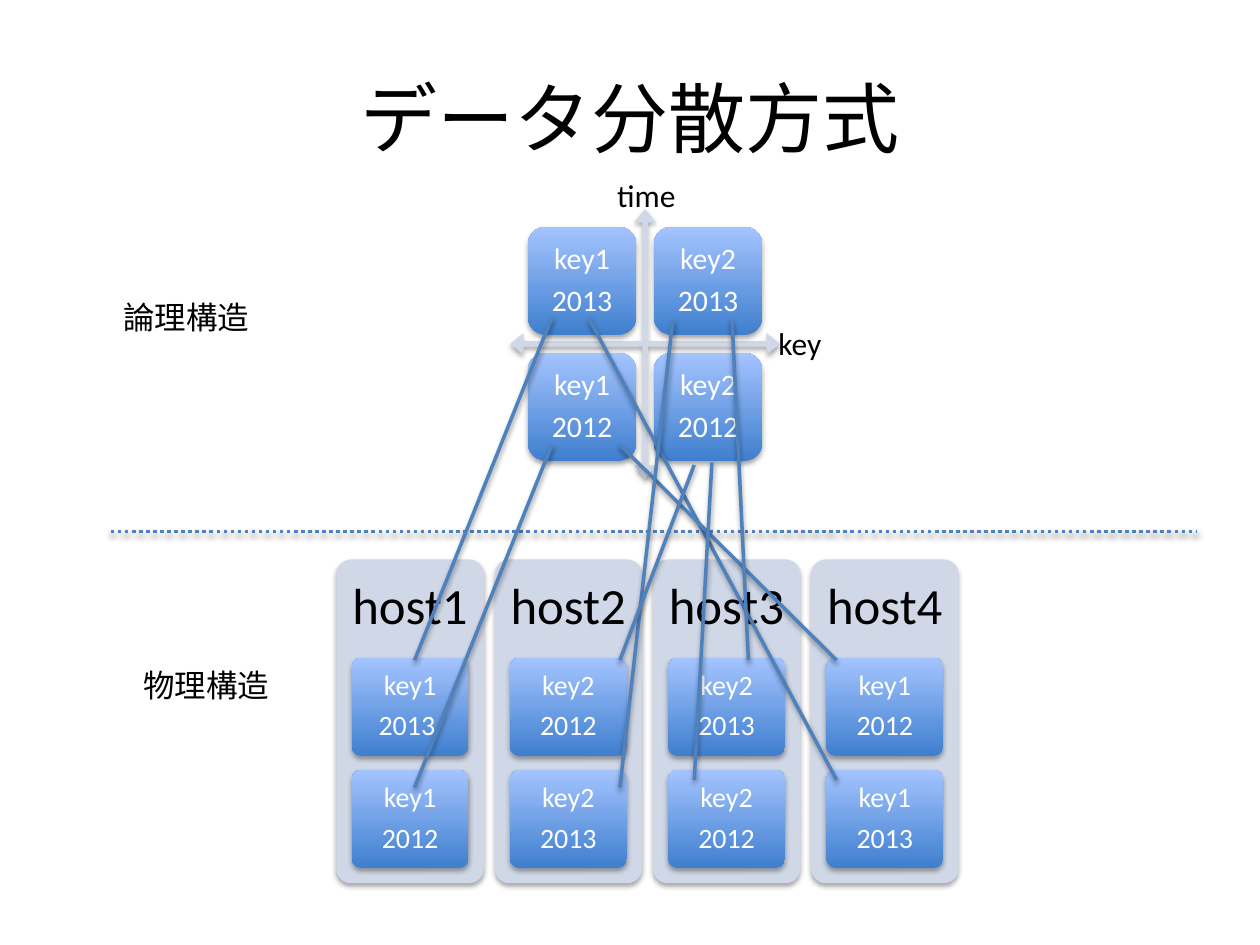
from lxml import etree
from pptx import Presentation
from pptx.dml.color import RGBColor
from pptx.enum.dml import MSO_LINE
from pptx.enum.shapes import MSO_CONNECTOR, MSO_SHAPE
from pptx.enum.text import MSO_ANCHOR, PP_ALIGN
from pptx.oxml.ns import qn
from pptx.util import Inches, Pt

BLACK = RGBColor(0x00, 0x00, 0x00)
WHITE = RGBColor(0xFF, 0xFF, 0xFF)
PALE = RGBColor(0xD0, 0xD8, 0xE8)
BLUE_LOW = RGBColor(0x3F, 0x7F, 0xCE)
BLUE_HIGH = RGBColor(0xA4, 0xC4, 0xFF)
LINE_BLUE = RGBColor(0x4F, 0x81, 0xBD)
FONT = "Calibri"
ROUND, QUAD = MSO_SHAPE.ROUNDED_RECTANGLE, MSO_SHAPE.QUAD_ARROW
MIDDLE, CENTER = MSO_ANCHOR.MIDDLE, PP_ALIGN.CENTER
STRAIGHT, DOTTED = MSO_CONNECTOR.STRAIGHT, MSO_LINE.ROUND_DOT

prs = Presentation()
prs.slide_width, prs.slide_height = Inches(10), Inches(7.5)
s = prs.slides.add_slide(prs.slide_layouts[6])


def add_shadow(shape, distance, opacity):
    """Give a shape or connector a soft shadow straight below it."""
    effects = etree.SubElement(shape._element.spPr, qn("a:effectLst"))
    shadow = etree.SubElement(effects, qn("a:outerShdw"), blurRad=str(Pt(3.1)),
                              dist=str(Pt(distance)), dir="5400000", rotWithShape="0")
    color = etree.SubElement(shadow, qn("a:srgbClr"), val="000000")
    etree.SubElement(color, qn("a:alpha"), val=str(opacity * 1000))


def add_block(kind, box, adjustments, lines=(), size=18, color=WHITE,
              insets=(0, 0, 0), gradient=True):
    """Add a shadowed shape; insets are side, top and bottom in inches."""
    sp = s.shapes.add_shape(kind, *map(Inches, box))
    for i, value in enumerate(adjustments):
        sp.adjustments[i] = value
    if gradient:
        sp.fill.gradient()
        sp.fill.gradient_angle = 90
        for stop, rgb in zip(sp.fill.gradient_stops, (BLUE_LOW, BLUE_HIGH)):
            stop.color.rgb = rgb
            stop.position = float(rgb == BLUE_HIGH)
    else:
        sp.fill.solid()
        sp.fill.fore_color.rgb = PALE
    sp.line.fill.background()
    add_shadow(sp, 1.8, 35)
    tf = sp.text_frame
    tf.word_wrap, tf.vertical_anchor = True, MIDDLE
    side, top, bottom = map(Inches, insets)
    tf.margin_left = tf.margin_right = side
    tf.margin_top, tf.margin_bottom = top, bottom
    for i, line in enumerate(lines):
        p = tf.add_paragraph() if i else tf.paragraphs[0]
        p.text, p.alignment = line, CENTER
        p.line_spacing, p.space_after = 0.9, Pt(0.35 * size)
        p.font.name, p.font.size, p.font.color.rgb = FONT, Pt(size), color


# Logical structure: key and time axes with a 2 x 2 grid of tiles
add_block(QUAD, (4.05, 1.66, 2.14, 2.14), (0.02, 0.04, 0.05), gradient=False)
for row, year in enumerate(("2013", "2012")):
    for col, key in enumerate(("key1", "key2")):
        add_block(ROUND, (4.19 + col, 1.8 + row, 0.86, 0.86), (0.1667,),
                  (key, year), 17, insets=(0.07, 0.07, 0.07))

# Physical structure: one panel per host, two blocks in each
HOSTS = (
    (("key1", "2013\t"), ("key1", "2012")),
    (("key2", "2012"), ("key2", "2013")),
    (("key2", "2013"), ("key2", "2012")),
    (("key1", "2012"), ("key1", "2013")),
)
for col, blocks in enumerate(HOSTS):
    left = 2.67 + 1.256 * col
    add_block(ROUND, (left, 4.44, 1.17, 2.57), (0.1,), (f"host{col + 1}",), 29,
              BLACK, insets=(0.09, 0.09, 1.89), gradient=False)
    for row, lines in enumerate(blocks):
        add_block(ROUND, (left + 0.12, 5.22 + 0.89 * row, 0.93, 0.78), (0.1,),
                  lines, 16, insets=(0.04, 0.03, 0.03))

# Title and labels: text, box, size, wrapped and centred
LABELS = (
    ("データ分散方式", (0.5, 0.3, 9, 1.25), 44, True),
    ("key", (6.08, 2.52, 0.56, 0.4), 18, False),
    ("time", (4.8, 1.35, 0.67, 0.4), 18, False),
    ("論理構造", (0.88, 2.32, 1.21, 0.4), 18, False),
    ("物理構造", (1.04, 5.24, 1.21, 0.4), 18, False),
)
for text, box, size, centred in LABELS:
    tf = s.shapes.add_textbox(*map(Inches, box)).text_frame
    tf.word_wrap = centred
    p = tf.paragraphs[0]
    p.text = text
    p.font.name, p.font.size, p.font.color.rgb = FONT, Pt(size), BLACK
    if centred:
        tf.vertical_anchor, p.alignment = MIDDLE, CENTER

# Divider first, then the links from tiles to host blocks
DIVIDER = (0.88, 4.22, 9.5, 4.22)
LINKS = (
    (4.38, 2.52, 3.29, 5.24),
    (4.67, 2.52, 6.64, 6.19),
    (4.38, 3.53, 3.29, 6.25),
    (4.92, 3.53, 6.64, 5.24),
    (5.34, 2.54, 4.92, 6.25),
    (5.81, 2.54, 5.94, 5.24),
    (5.51, 3.69, 4.92, 5.24),
    (5.65, 3.67, 5.51, 6.19),
)
for ends in (DIVIDER, *LINKS):
    link = s.shapes.add_connector(STRAIGHT, *map(Inches, ends))
    link.line.color.rgb, link.line.width = LINE_BLUE, Pt(2)
    if ends == DIVIDER:
        link.line.dash_style = DOTTED
    add_shadow(link, 1.6, 38)

prs.save("out.pptx")
